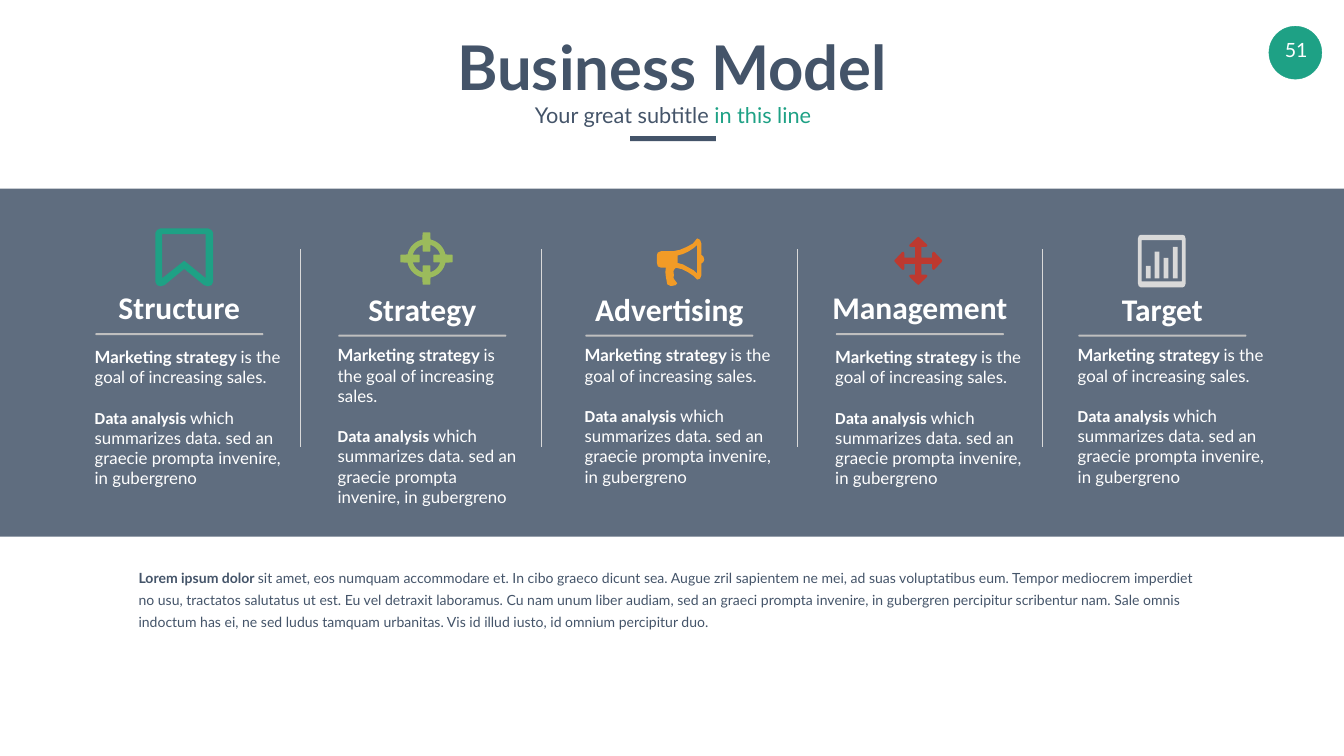
from collections import namedtuple
from math import cos, radians, sin

from lxml.etree import SubElement
from pptx import Presentation
from pptx.dml.color import RGBColor
from pptx.enum.dml import MSO_LINE
from pptx.enum.shapes import MSO_CONNECTOR, MSO_SHAPE
from pptx.enum.text import MSO_ANCHOR, PP_ALIGN
from pptx.oxml.ns import qn
from pptx.util import Inches, Pt

CELL = Inches(15) / 90  # the slide is a grid of 160 columns by 90 rows
SLATE, GREEN, WHITE = "445469", "1EA185", "FFFFFF"

Span = namedtuple("Span", "text bold color font", defaults=(None, None, None))
Column = namedtuple("Column", "title left drop body_width icon icon_box color")


class Box(namedtuple("Box", "left top width height")):
    def inner(self, left, top, width, height):
        """Return a box placed from this box's top left corner."""
        return Box(self.left + left, self.top + top, width, height)

    def lengths(self):
        return [round(value * CELL) for value in self]


def rgb(color):
    return RGBColor.from_string(color)


def paint(shape, color):
    shape.shadow.inherit = False
    shape.fill.solid()
    shape.fill.fore_color.rgb = rgb(color)
    shape.line.fill.background()
    return shape


def add_block(page, kind, box, color):
    return paint(page.shapes.add_shape(kind, *box.lengths()), color)


def write(frame, paragraphs, size, color, font="Lato", bold=None, align=PP_ALIGN.LEFT,
          wrap=True, spacing=1.0, gap=0, inset=(0.1, 0.05)):
    """Fill a text frame with paragraphs, each a list of spans."""
    frame.word_wrap = wrap
    frame.vertical_anchor = MSO_ANCHOR.TOP
    frame.margin_left = frame.margin_right = Inches(inset[0])
    frame.margin_top = frame.margin_bottom = Inches(inset[1])
    for index, spans in enumerate(paragraphs):
        para = frame.add_paragraph() if index else frame.paragraphs[0]
        para.alignment, para.line_spacing = align, spacing
        if index:
            para.space_before = Pt(gap)
        para.font.size, para.font.name, para.font.bold = Pt(size), font, bold
        para.font.color.rgb = rgb(color)
        for span in spans:
            run = para.add_run()
            run.text = span.text
            if span.bold is not None:
                run.font.bold = span.bold
            if span.font:
                run.font.name = span.font
            if span.color:
                run.font.color.rgb = rgb(span.color)


def add_text(page, box, paragraphs, size, color, **style):
    write(page.shapes.add_textbox(*box.lengths()).text_frame, paragraphs, size, color, **style)


# Icon outlines, in percent of the icon's box

def rectangle(left, top, right, bottom):
    return [(left, top), (right, top), (right, bottom), (left, bottom)]


def arc(radius, start, end, steps=10):
    angles = [radians(start + (end - start) * step / steps) for step in range(steps + 1)]
    return [(radius * cos(angle), radius * sin(angle)) for angle in angles]


def four_turns(points):
    """Repeat points, given from the centre, at each quarter turn."""
    outline = []
    for _ in range(4):
        outline += [(50 + x, 50 + y) for x, y in points]
        points = [(-y, x) for x, y in points]
    return outline


BOOKMARK = [
    [(9, 0), (91, 0), (97, 3), (100, 8), (100, 92), (97, 98), (91, 100), (84, 98), (50, 70),
     (16, 98), (9, 100), (3, 98), (0, 92), (0, 8), (3, 3)],
    [(12, 10), (12, 86), (50, 56), (87, 86), (87, 10)],
]
CROSSHAIR = [
    four_turns([(49, -7.5), (50, -6), (50, 6), (49, 7.5)] + arc(37, 12, 78)),
    four_turns([(14, -7.5), (13, -6), (13, 6), (14, 7.5)] + arc(27, 16, 74)),
]
MEGAPHONE = [
    [(100, 45), (98, 50), (94, 53), (94, 78), (91, 85), (85, 87), (77, 79), (65, 71), (53, 65),
     (40, 62), (37, 65), (35, 69), (36, 78), (35, 83), (37, 87), (43, 95), (39, 99), (33, 100),
     (28, 100), (22, 97), (19, 81), (18, 71), (19, 62), (9, 62), (2, 59), (0, 51), (0, 36),
     (2, 30), (9, 27), (35, 27), (49, 24), (63, 18), (76, 11), (85, 0), (91, 3), (94, 11),
     (94, 35), (98, 38)],
    [(85, 14), (77, 21), (66, 28), (55, 33), (44, 36), (44, 52), (55, 55), (66, 61), (77, 67),
     (85, 74)],
]
FOUR_ARROWS = [four_turns([
    (29, -6.5), (29, -16), (31, -19), (34, -18), (49, -2), (50, 0), (49, 2), (34, 18),
    (31, 19), (29, 16), (29, 6.5), (6.5, 6.5)])]
BAR_CHART = [
    [(6, 0), (94, 0), (98, 2), (100, 8), (100, 92), (98, 98), (94, 100), (6, 100), (2, 98),
     (0, 92), (0, 8), (2, 2)],
    rectangle(8, 10, 92, 89),
] + [rectangle(left, top, left + 10, 83)
     for left, top in ((17, 59), (35, 32), (54, 44), (73, 23))]

COLUMNS = [
    Column("Structure", 11.34, 0, 23.4, BOOKMARK, (7.14, 4.74, 6.9, 6.9), GREEN),
    Column("Strategy", 40.26, 0.18, 23.2, CROSSHAIR, (7.38, 5.22, 6.24, 6.24), "9BBB5C"),
    Column("Advertising", 69.66, 0.18, 24.24, MEGAPHONE, (8.52, 5.94, 5.64, 5.64), "F29B26"),
    Column("Management", 99.48, 0, 23.58, FOUR_ARROWS, (6.96, 5.76, 5.7, 5.7), "BD392F"),
    Column("Target", 128.34, 0.18, 24.24, BAR_CHART, (7.08, 5.52, 5.7, 6.24), "D9D9D9"),
]
COLUMN_TEXT = [
    [Span("Marketing strategy ", True), Span("is the goal of increasing sales.")],
    [Span("Data analysis ", True, font="Calibri"),
     Span("which summarizes data. sed an graecie prompta invenire, in gubergreno")],
]
NOTE = [[
    Span("Lorem ipsum dolor ", True),
    Span("sit amet, eos numquam accommodare et. In cibo graeco dicunt sea. Augue zril sapientem "
         "ne mei, ad suas voluptatibus eum. Tempor mediocrem imperdiet no usu, tractatos "
         "salutatus ut est. Eu vel detraxit laboramus. Cu nam unum liber audiam, sed an graeci "
         "prompta invenire, in gubergren percipitur scribentur nam. Sale omnis indoctum has ei, "
         "ne sed ludus tamquam urbanitas. Vis id illud iusto, id omnium percipitur duo."),
]]


def add_icon(page, box, outlines, color):
    left, top, width, height = box.lengths()
    placed = [[(left + x * width / 100, top + y * height / 100) for x, y in outline]
              for outline in outlines]
    builder = page.shapes.build_freeform(*placed[0][0])
    for index, outline in enumerate(placed):
        if index:
            builder.move_to(*outline[0])
        builder.add_line_segments(outline[1:], close=True)
    paint(builder.convert_to_shape(), color)


def add_divider(page, box):
    left, top, _, height = box.lengths()
    line = page.shapes.add_connector(MSO_CONNECTOR.STRAIGHT, left, top, left, top + height)
    line.line.color.rgb = rgb("D9D9D9")
    line.line.width = Pt(0.5)
    line.line.dash_style = MSO_LINE.ROUND_DOT
    SubElement(line._element.spPr, qn("a:effectLst"))


def add_page_number(page, box):
    circle = add_block(page, MSO_SHAPE.OVAL, box, GREEN)
    circle.line.color.rgb = rgb(GREEN)
    circle.line.width = Pt(0.5)
    add_text(page, box.inner(0.6, 0.84, 5.28, 4.02), [[Span("51")]], 28, WHITE,
             align=PP_ALIGN.CENTER, wrap=False, inset=(0.2, 0.1))


def add_header(page, box):
    title = page.shapes.title
    title.left, title.top, title.width, title.height = box.inner(0, 0, box.width, 9.48).lengths()
    write(title.text_frame, [[Span("Business Model")]], 88, SLATE, bold=True,
          align=PP_ALIGN.CENTER, wrap=False)
    add_block(page, MSO_SHAPE.RECTANGLE, box.inner(21.54, 13.02, 10.2, 0.6), SLATE)
    add_text(page, box.inner(8.76, 7.56, 35.76, 5.22),
             [[Span("Your great subtitle "), Span("in this line", color=GREEN)]], 31, SLATE,
             align=PP_ALIGN.CENTER, wrap=False, spacing=1.2, inset=(0.24, 0.12))


def add_column(page, box, column):
    add_icon(page, box.inner(*column.icon_box), column.icon, column.color)
    add_text(page, box.inner(-1.5, 11.58 + column.drop, box.width + 3, 5.16),
             [[Span(column.title)]], 45, WHITE, font="Calibri", bold=True,
             align=PP_ALIGN.CENTER, wrap=False)
    rule = add_block(page, MSO_SHAPE.ROUNDED_RECTANGLE,
                     box.inner(0, 17.22 + column.drop, box.width, 0.24), "BFBFBF")
    rule.adjustments[0] = 0.5
    add_text(page, box.inner(-0.66, 18.54 - column.drop, column.body_width, 17.58),
             COLUMN_TEXT, 24, WHITE, gap=29)


def add_band(page, box):
    """Draw the band with its columns and the dividers between them."""
    band = add_block(page, MSO_SHAPE.RECTANGLE, box, SLATE)
    color = band._element.spPr.find(qn("a:solidFill"))[0]
    SubElement(color, qn("a:alpha"), val="85000")
    for column in COLUMNS:
        column_box = box.inner(column.left, 0, 20, box.height)
        add_column(page, column_box, column)
        if column is not COLUMNS[-1]:
            add_divider(page, column_box.inner(column.body_width + 0.96, 7.26, 0, 23.4))


def main():
    deck = Presentation()
    deck.slide_width, deck.slide_height = Inches(26.66), Inches(15)
    page = deck.slides.add_slide(deck.slide_layouts[5])
    add_page_number(page, Box(151.02, 3.12, 6.3, 6.3))
    add_band(page, Box(0, 22.44, 160, 41.46))
    add_header(page, Box(53.46, 3.18, 53.1, 13.62))
    add_text(page, Box(15.9, 66.96, 128.16, 8.4), NOTE, 20, SLATE, spacing=1.3)
    deck.save("out.pptx")


if __name__ == "__main__":
    main()
